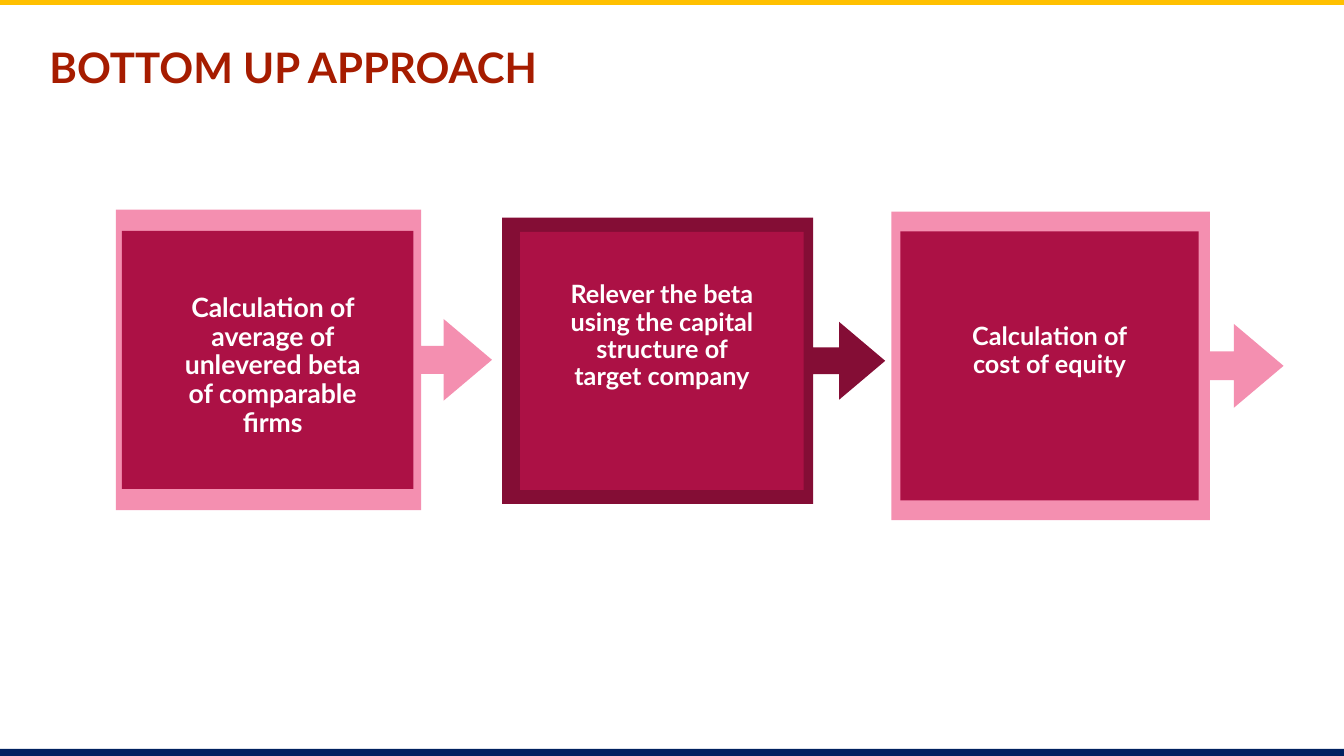
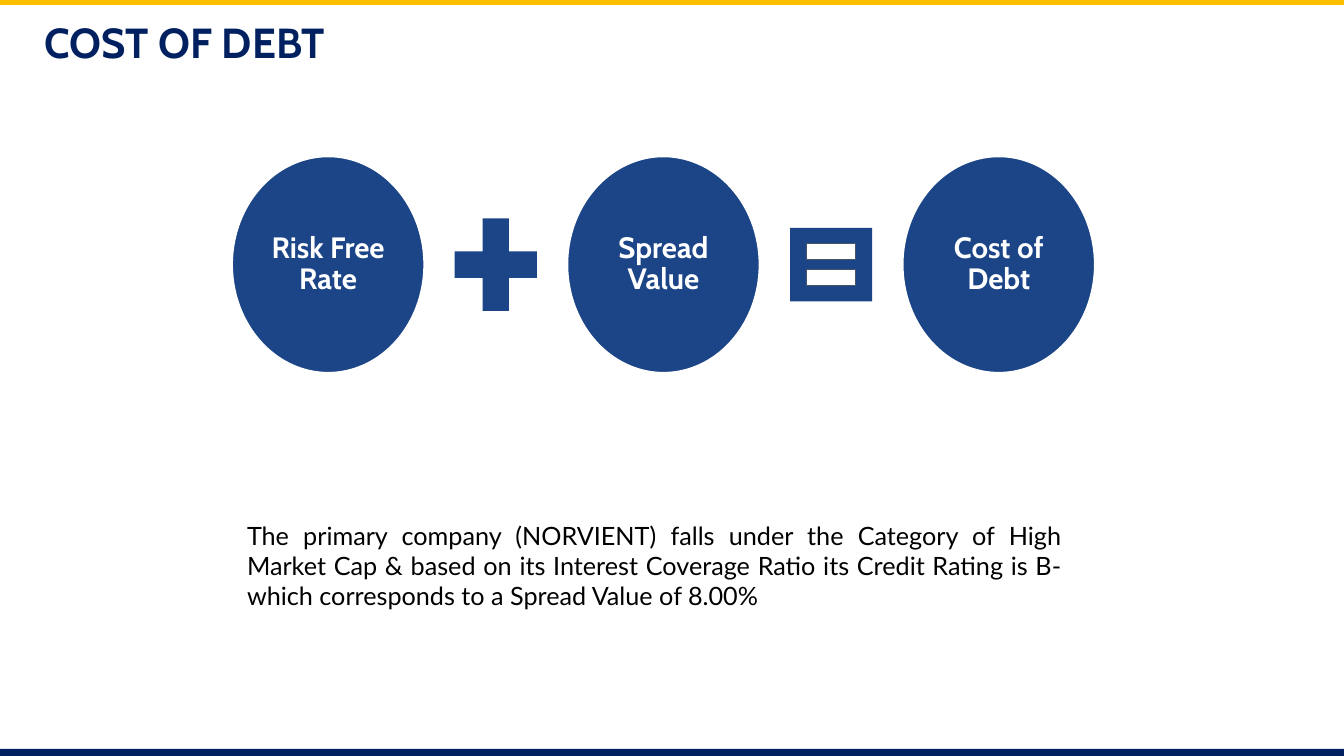
import pptx
import pptx.util
import pptx.dml.color
import pptx.enum.shapes
import pptx.enum.text
import pptx.oxml.ns

Inches = pptx.util.Inches
Color = pptx.dml.color.RGBColor
Shape = pptx.enum.shapes.MSO_SHAPE
Align = pptx.enum.text.PP_ALIGN
Anchor = pptx.enum.text.MSO_ANCHOR

WIDE, HIGH = 13.33, 7.5
BAND = 0.07
GOLD = Color(0xFF, 0xC0, 0x00)
NAVY = Color(0x00, 0x20, 0x60)
RUST = Color(0xA6, 0x1C, 0x00)
WINE = Color(0x84, 0x0D, 0x35)
ROSE = Color(0xAC, 0x11, 0x45)
PINK = Color(0xF4, 0x8F, 0xB0)
BLUE = Color(0x1C, 0x45, 0x87)
SLATE = Color(0x44, 0x54, 0x6A)
WHITE = Color(0xFF, 0xFF, 0xFF)
BLACK = Color(0x00, 0x00, 0x00)

ARROW = (0.093, 0.136, 0.161, 0.812)  # shaft, half head, head length, card share

# box, arrow colour, pane (left gap, width, height), pads (left, top, right), size
STEPS = [
    ("Calculation of average of unlevered beta of comparable firms",
     (1.15, 2.08, 3.73, 2.98), PINK, (0.06, 2.89, 2.56), (0.55, 0.63, 0.45), 19),
    ("Relever the beta using the capital structure of target company",
     (4.98, 2.16, 3.8, 2.84), WINE, (0.18, 2.81, 2.56), (0.46, 0.5, 0.46), 18),
    ("Calculation of cost of equity",
     (8.84, 2.1, 3.89, 3.06), PINK, (0.09, 2.96, 2.67), (0.49, 0.92, 0.49), 18),
]
TERMS = ["Risk Free Rate", "Spread Value", "Cost of Debt"]
NOTE = ("The primary company (NORVIENT) falls under the Category of High Market Cap "
        "& based on its Interest Coverage Ratio its Credit Rating is B- "
        "which corresponds to a Spread Value of 8.00%")


def draw(slide, kind, box, fill, line=None, weight=0.75):
    part = slide.shapes.add_shape(kind, *map(Inches, box))
    part.shadow.inherit = False
    part.fill.solid()
    part.fill.fore_color.rgb = fill
    if line is None:
        part.line.fill.background()
    else:
        part.line.color.rgb = line
        part.line.width = pptx.util.Pt(weight)
    return part


def center(slide, kind, x, y, w, h, *style):
    """Draw a shape around its middle point."""
    return draw(slide, kind, (x - w / 2, y - h / 2, w, h), *style)


def write(part, text, font, size, color, bold=True, align=Align.LEFT,
          pads=(0.1, 0.05, 0.1, 0.05), anchor=Anchor.TOP, lead=1.0):
    frame = part.text_frame
    frame.text = text
    frame.word_wrap = True
    frame.auto_size = pptx.enum.text.MSO_AUTO_SIZE.NONE
    frame.vertical_anchor = anchor
    (frame.margin_left, frame.margin_top,
     frame.margin_right, frame.margin_bottom) = map(Inches, pads)
    para = frame.paragraphs[0]
    para.alignment = align
    para.line_spacing = lead
    para.space_before = pptx.util.Pt(0)
    face = para.runs[0].font
    face.name, face.size, face.bold = font, pptx.util.Pt(size), bold
    face.color.rgb = color


def place(part, box):
    part.left, part.top, part.width, part.height = map(Inches, box)


def start(deck, layout, title, box, font, color, pads):
    """Add a slide with the shared bands and title style."""
    slide = deck.slides.add_slide(deck.slide_layouts[layout])
    draw(slide, Shape.RECTANGLE, (0, -0.02, WIDE, BAND), GOLD)
    draw(slide, Shape.RECTANGLE, (0, HIGH - BAND, WIDE, BAND), NAVY)
    place(slide.shapes.title, box)
    write(slide.shapes.title, title, font, 30, color, pads=pads)
    return slide


def step(slide, text, box, color, pane, pads, size):
    """Draw an arrow card with a text pane centred in its height."""
    x, y, w, h = box
    card = draw(slide, Shape.RIGHT_ARROW_CALLOUT, box, color)
    for i, share in enumerate(ARROW):
        card.adjustments[i] = share
    gap, wide, high = pane
    inner = draw(slide, Shape.RECTANGLE,
                 (x + gap, y + (h - high) / 2, wide, high), ROSE)
    write(inner, text, "Lato", size, WHITE, align=Align.CENTER,
          pads=(*pads, 0), lead=0.9)


def equals(slide, x, y, w, h):
    center(slide, Shape.RECTANGLE, x, y, w, h, BLUE)
    for side in (-1, 1):
        center(slide, Shape.RECTANGLE, x, y + side * 0.18 * h,
               0.6 * w, 0.22 * h, WHITE, SLATE)


def sum_row(slide, x, y, w, h):
    """Spread the terms evenly, with an operator midway between neighbours."""
    disc = 0.223 * w
    pitch = (w - disc) / (len(TERMS) - 1)
    first, mid = x + disc / 2, y + h / 2
    for i, term in enumerate(TERMS):
        oval = center(slide, Shape.OVAL, first + i * pitch, mid, disc, h,
                      BLUE, WHITE, 1.5)
        write(oval, term, "Cabin", 21, WHITE, align=Align.CENTER,
              pads=(0.02,) * 4, anchor=Anchor.MIDDLE, lead=0.9)
    center(slide, Shape.MATH_PLUS, first + pitch / 2, mid,
           0.13 * w, 0.58 * h, BLUE)
    equals(slide, first + 1.5 * pitch, mid, 0.095 * w, 0.34 * h)


def note(slide, box):
    body = slide.placeholders[1]
    place(body, box)
    write(body, NOTE, "Lato", 18, BLACK, False, Align.JUSTIFY)
    props = body.text_frame.paragraphs[0]._p.get_or_add_pPr()
    props.set("marL", "0")
    props.set("indent", "0")
    props.append(props.makeelement(pptx.oxml.ns.qn("a:buNone"), {}))


def approach(deck):
    slide = start(deck, 5, "BOTTOM UP APPROACH", (0.39, 0.31, 11.21, 0.71),
                  "Lato", RUST, (0.1,) * 4)
    for item in STEPS:
        step(slide, *item)


def debt(deck):
    slide = start(deck, 1, "COST OF DEBT", (0.34, 0.11, 12.74, 1.01),
                  "Cabin", NAVY, (0.1, 0.05, 0.1, 0.05))
    sum_row(slide, 2.3, 1.55, 8.56, 2.15)
    note(slide, (2.35, 5.11, 8.28, 1.01))


def main():
    deck = pptx.Presentation()
    deck.slide_width, deck.slide_height = Inches(WIDE), Inches(HIGH)
    approach(deck)
    debt(deck)
    deck.save("out.pptx")


if __name__ == "__main__":
    main()
